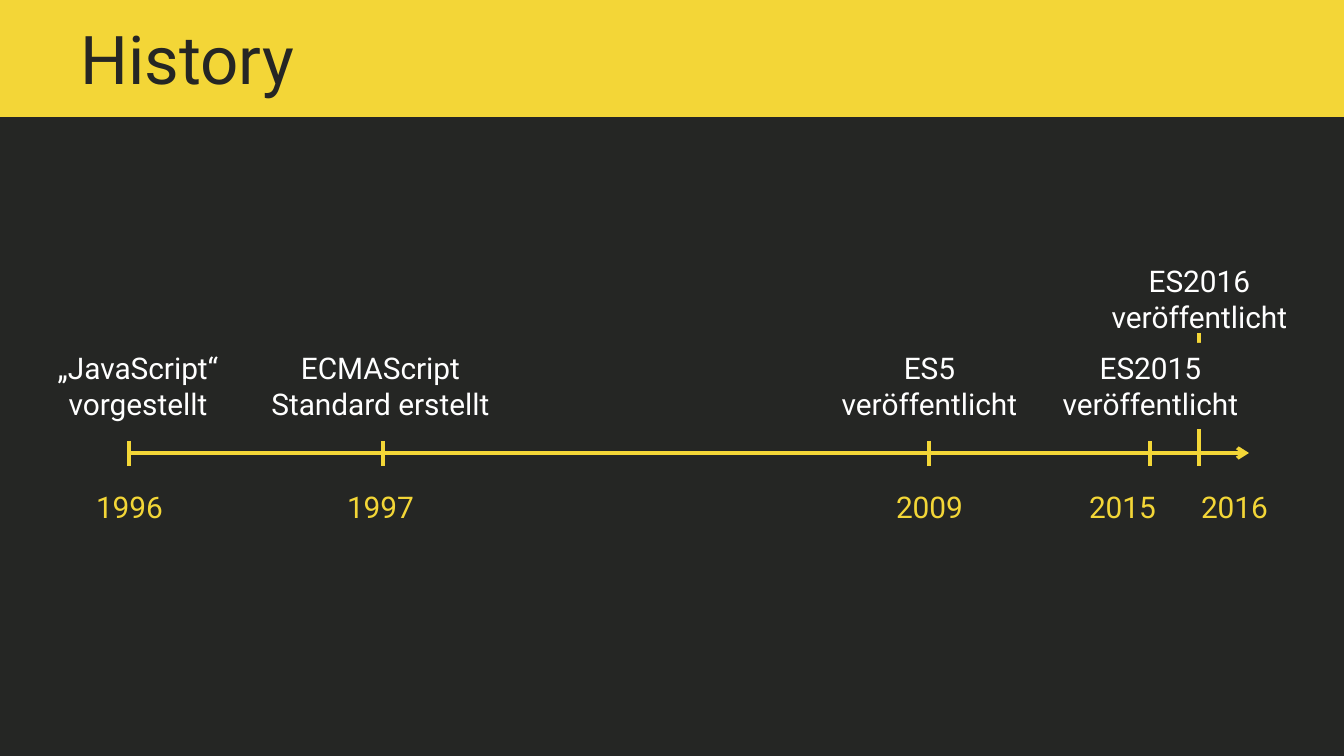
"""Build the ECMAScript history timeline slide."""
import pptx
import pptx.dml.color
import pptx.enum.shapes
import pptx.enum.text
import pptx.oxml
import pptx.oxml.ns
import pptx.util

RGB = pptx.dml.color.RGBColor
YELLOW = RGB(0xF3, 0xD6, 0x37)
DARK = RGB(0x25, 0x26, 0x24)
WHITE = RGB(0xFF, 0xFF, 0xFF)
ALIGN = pptx.enum.text.PP_ALIGN
ANCHOR = pptx.enum.text.MSO_ANCHOR
AUTO = pptx.enum.text.MSO_AUTO_SIZE
WIDTH, HEIGHT = 1344, 756
AXIS_Y, LABEL_Y, YEAR_Y = 453, 343, 482


def px(n):
    return pptx.util.Emu(round(n * 914400 / 134.4))


class Deck:
    font = "Roboto"
    size = 16
    title_size = 36
    line_width = 2

    def __init__(self, prs):
        self.s = prs.slides.add_slide(prs.slide_layouts[5])
        fill = self.s.background.fill
        fill.solid()
        fill.fore_color.rgb = DARK

    def style(self, p, size, color, align):
        p.alignment = align
        p.font.name = self.font
        p.font.size = pptx.util.Pt(size)
        p.font.color.rgb = color

    def title(self, text, x, y, w, h):
        sp = self.s.shapes.title
        sp.left, sp.top, sp.width, sp.height = map(px, (x, y, w, h))
        tf = sp.text_frame
        tf.text = text
        tf.auto_size = AUTO.NONE
        tf.vertical_anchor = ANCHOR.MIDDLE
        self.style(tf.paragraphs[0], self.title_size, DARK, ALIGN.LEFT)
        return sp

    def rect(self, x, y, w, h, color):
        kind = pptx.enum.shapes.MSO_SHAPE.RECTANGLE
        sp = self.s.shapes.add_shape(kind, *map(px, (x, y, w, h)))
        sp.shadow.inherit = False
        sp.fill.solid()
        sp.fill.fore_color.rgb = color
        sp.line.fill.background()
        return sp

    def text(self, text, center, y, w, h, color, fill=None):
        x = center - w // 2
        if fill is None:
            sp = self.s.shapes.add_textbox(*map(px, (x, y, w, h)))
        else:
            sp = self.rect(x, y, w, h, fill)
        tf = sp.text_frame
        tf.text = text
        tf.word_wrap = False
        tf.auto_size = AUTO.SHAPE_TO_FIT_TEXT
        tf.vertical_anchor = ANCHOR.TOP
        for p in tf.paragraphs:
            self.style(p, self.size, color, ALIGN.CENTER)

    def line(self, x1, y1, x2, y2, arrow=False):
        kind = pptx.enum.shapes.MSO_CONNECTOR.STRAIGHT
        cxn = self.s.shapes.add_connector(kind, *map(px, (x1, y1, x2, y2)))
        cxn.line.color.rgb = YELLOW
        cxn.line.width = pptx.util.Pt(self.line_width)
        qn = pptx.oxml.ns.qn
        sub = pptx.oxml.xmlchemy.OxmlElement
        if arrow:
            tail = sub("a:tailEnd")
            tail.set("type", "arrow")
            cxn.line._get_or_add_ln().append(tail)
        cxn.element.find(qn("p:spPr")).append(sub("a:effectLst"))


def main():
    prs = pptx.Presentation()
    prs.slide_width, prs.slide_height = px(WIDTH), px(HEIGHT)
    deck = Deck(prs)
    title = deck.title("History", 67, 17, 1210, 81)
    band = deck.rect(0, 0, WIDTH, 117, YELLOW)
    title.element.addprevious(band.element)

    deck.line(129, AXIS_Y, 1249, AXIS_Y, arrow=True)
    events = [
        # tick x, tick top, year, year x, label, label x, label y, width, fill
    ]
    events = [
        (129, 441, "1996", 129, "„JavaScript“\nvorgestellt", 138, LABEL_Y, 192, None),
        (383, 441, "1997", 380, "ECMAScript\nStandard erstellt", 380, LABEL_Y, 253, None),
        (929, 441, "2009", 929, "ES5\nveröffentlicht", 929, LABEL_Y, 207, None),
        (1199, 333, "2016", 1234, "ES2016\nveröffentlicht", 1199, 256, 207, None),
        (1150, 441, "2015", 1122, "ES2015\nveröffentlicht", 1150, LABEL_Y, 207, DARK),
    ]
    for tick, top, year, year_x, label, label_x, label_y, w, fill in events:
        deck.line(tick, top, tick, 466)
        deck.text(year, year_x, YEAR_Y, 97, 50, YELLOW)
        deck.text(label, label_x, label_y, w, 86, WHITE, fill)

    prs.save("out.pptx")


if __name__ == "__main__":
    main()
